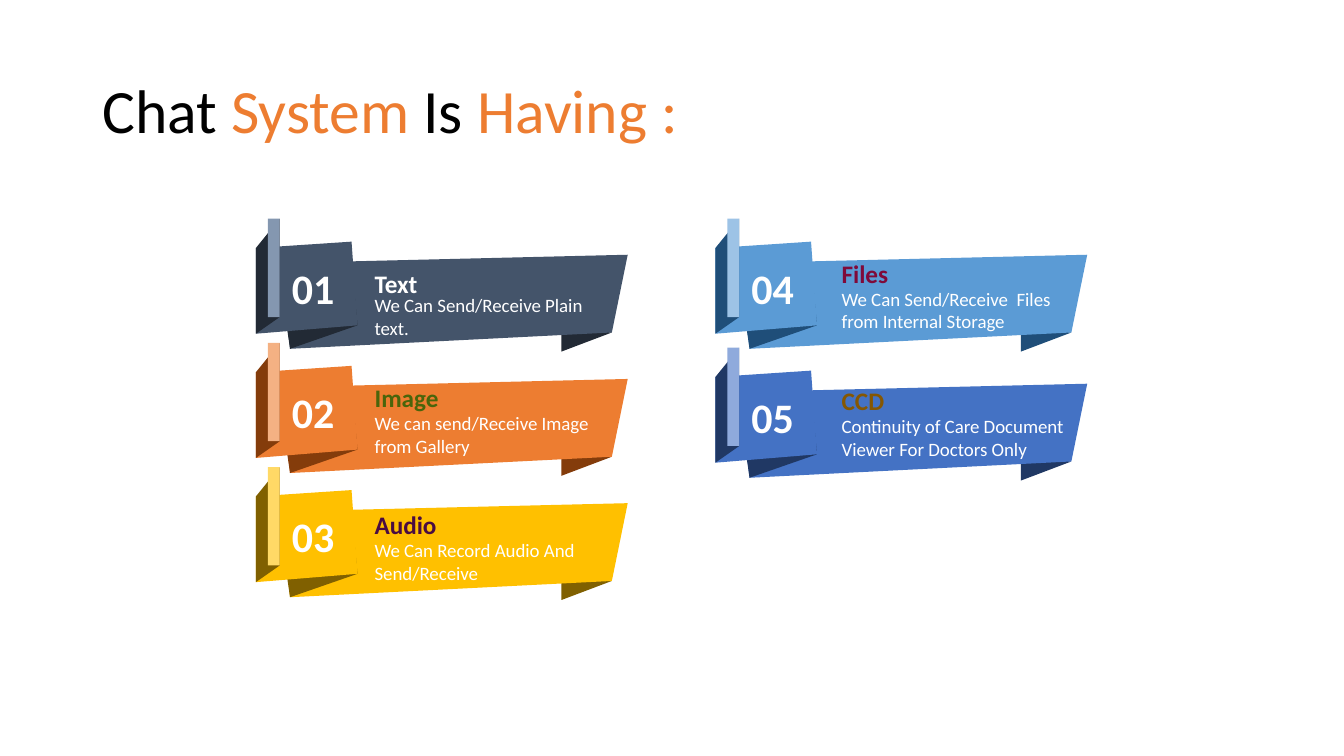
"""Build the slide that lists the features of the chat system as folded ribbons."""
from pptx import Presentation
from pptx.dml.color import RGBColor
from pptx.enum import shapes, text
from pptx.util import Cm, Pt

FONT = "Calibri"
BLACK = RGBColor(0x00, 0x00, 0x00)
WHITE = RGBColor(0xFF, 0xFF, 0xFF)
NAVY = RGBColor(0x22, 0x2A, 0x35)
SLATE = RGBColor(0x44, 0x54, 0x6A)
PALE_SLATE = RGBColor(0x84, 0x97, 0xB0)
BROWN = RGBColor(0x84, 0x3C, 0x0B)
ORANGE = RGBColor(0xED, 0x7D, 0x31)
PALE_ORANGE = RGBColor(0xF4, 0xB1, 0x83)
OLIVE = RGBColor(0x80, 0x60, 0x00)
GOLD = RGBColor(0xFF, 0xC0, 0x00)
PALE_GOLD = RGBColor(0xFF, 0xD9, 0x66)
DEEP_BLUE = RGBColor(0x1F, 0x4E, 0x79)
SKY = RGBColor(0x5B, 0x9B, 0xD5)
PALE_SKY = RGBColor(0x9D, 0xC3, 0xE6)
INDIGO = RGBColor(0x20, 0x38, 0x64)
BLUE = RGBColor(0x44, 0x72, 0xC4)
PALE_BLUE = RGBColor(0x8F, 0xAA, 0xDC)
GREEN = RGBColor(0x4A, 0x65, 0x0B)
PLUM = RGBColor(0x4A, 0x0C, 0x42)
CRIMSON = RGBColor(0x7F, 0x0A, 0x3A)
OCHRE = RGBColor(0x85, 0x57, 0x03)

TITLE = [("Chat ", BLACK), ("System", ORANGE), (" Is ", BLACK), ("Having :", ORANGE)]

# Heading, its colour, detail, (dark, main, pale), heading and detail offsets
COLUMNS = [
    {"left": 6.45, "step": 3.13, "text_left": 9.19, "features": [
        ("Text", WHITE, "We Can Send/Receive Plain text.",
         (NAVY, SLATE, PALE_SLATE), 0.86, 1.9),
        ("Image", GREEN, "We can send/Receive Image from Gallery",
         (BROWN, ORANGE, PALE_ORANGE), 0.62, 1.74),
        ("Audio", PLUM, "We Can Record Audio And Send/Receive",
         (OLIVE, GOLD, PALE_GOLD), 0.69, 1.81),
    ]},
    {"left": 18.03, "step": 3.25, "text_left": 20.96, "features": [
        ("Files", CRIMSON, "We Can Send/Receive  Files from Internal Storage",
         (DEEP_BLUE, SKY, PALE_SKY), 0.61, 1.73),
        ("CCD", OCHRE, "Continuity of Care Document Viewer For Doctors Only",
         (INDIGO, BLUE, PALE_BLUE), 0.58, 1.7),
    ]},
]
TOP = 5.51

TAIL = [(8.97, 2.87), (7.7, 3.35), (7.7, 2.77)]
BANNER = [(8.97, 2.87), (0.86, 3.28), (0.6, 1.12), (9.37, 0.91)]
SHADE = [(0.86, 3.28), (2.56, 2.69), (2.41, 1.09), (0.69, 2.11)]
FLAP = [(2.56, 2.69), (2.41, 0.58), (0, 0.74), (0, 2.9)]
FOLD = [(0, 0.74), (0.6, 0), (0.6, 2.48), (0, 2.9)]


def paint(part, color):
    part.shadow.inherit = False
    part.fill.solid()
    part.fill.fore_color.rgb = color
    part.line.fill.background()


def add_outline(slide, left, top, points, color):
    corners = [(Cm(left + x), Cm(top + y)) for x, y in points]
    builder = slide.shapes.build_freeform(*corners[0])
    builder.add_line_segments(corners[1:], close=True)
    outline = builder.convert_to_shape()
    paint(outline, color)
    return outline


def set_insets(frame, left, top, right, bottom):
    frame.margin_left, frame.margin_top = Cm(left), Cm(top)
    frame.margin_right, frame.margin_bottom = Cm(right), Cm(bottom)


def write(frame, words, size, color, bold):
    frame.text = words
    frame.word_wrap = True
    font = frame.paragraphs[0].runs[0].font
    font.name, font.size, font.bold = FONT, Pt(size), bold
    font.color.rgb = color


def add_ribbon(slide, left, top, number, colors):
    dark, main, pale = colors
    add_outline(slide, left, top, TAIL, dark)
    add_outline(slide, left, top, BANNER, main)
    add_outline(slide, left, top, SHADE, dark)
    flap = add_outline(slide, left, top, FLAP, main)
    add_outline(slide, left, top, FOLD, dark)
    strip = slide.shapes.add_shape(shapes.MSO_SHAPE.RECTANGLE, Cm(left + 0.3),
                                   Cm(top), Cm(0.3), Cm(2.48))
    paint(strip, pale)
    frame = flap.text_frame
    write(frame, f"{number:02}", 30, WHITE, True)
    set_insets(frame, 0.18, 0.1, 0.58, 0.1)
    frame.vertical_anchor = text.MSO_ANCHOR.MIDDLE
    frame.paragraphs[0].alignment = text.PP_ALIGN.RIGHT


def add_label(slide, left, top, words, size, color, bold, inset_top):
    label = slide.shapes.add_textbox(Cm(left), Cm(top), Cm(6.22), Cm(1.14))
    write(label.text_frame, words, size, color, bold)
    set_insets(label.text_frame, 0.25, inset_top, 0.25, 0)
    label.text_frame.auto_size = text.MSO_AUTO_SIZE.SHAPE_TO_FIT_TEXT


def add_title(slide):
    title = slide.shapes.title
    title.left, title.top, title.width, title.height = Cm(2.33), Cm(1.01), Cm(29.21), Cm(3.68)
    title.text_frame.vertical_anchor = text.MSO_ANCHOR.MIDDLE
    line = title.text_frame.paragraphs[0]
    line.alignment = text.PP_ALIGN.LEFT
    line.line_spacing = 0.9
    for words, color in TITLE:
        run = line.add_run()
        run.text = words
        run.font.name, run.font.size = FONT, Pt(44)
        run.font.color.rgb = color


def main():
    deck = Presentation()
    deck.slide_width, deck.slide_height = Cm(33.87), Cm(19.05)
    slide = deck.slides.add_slide(deck.slide_layouts[5])
    add_title(slide)
    number = 0
    for column in COLUMNS:
        for row, feature in enumerate(column["features"]):
            heading, heading_color, detail, colors, heading_drop, detail_drop = feature
            number += 1
            top = TOP + row * column["step"]
            add_ribbon(slide, column["left"], top, number, colors)
            add_label(slide, column["text_left"], top + heading_drop,
                      heading, 18, heading_color, True, 0.38)
            add_label(slide, column["text_left"], top + detail_drop,
                      detail, 13.5, WHITE, False, 0)
    deck.save("out.pptx")


if __name__ == "__main__":
    main()
